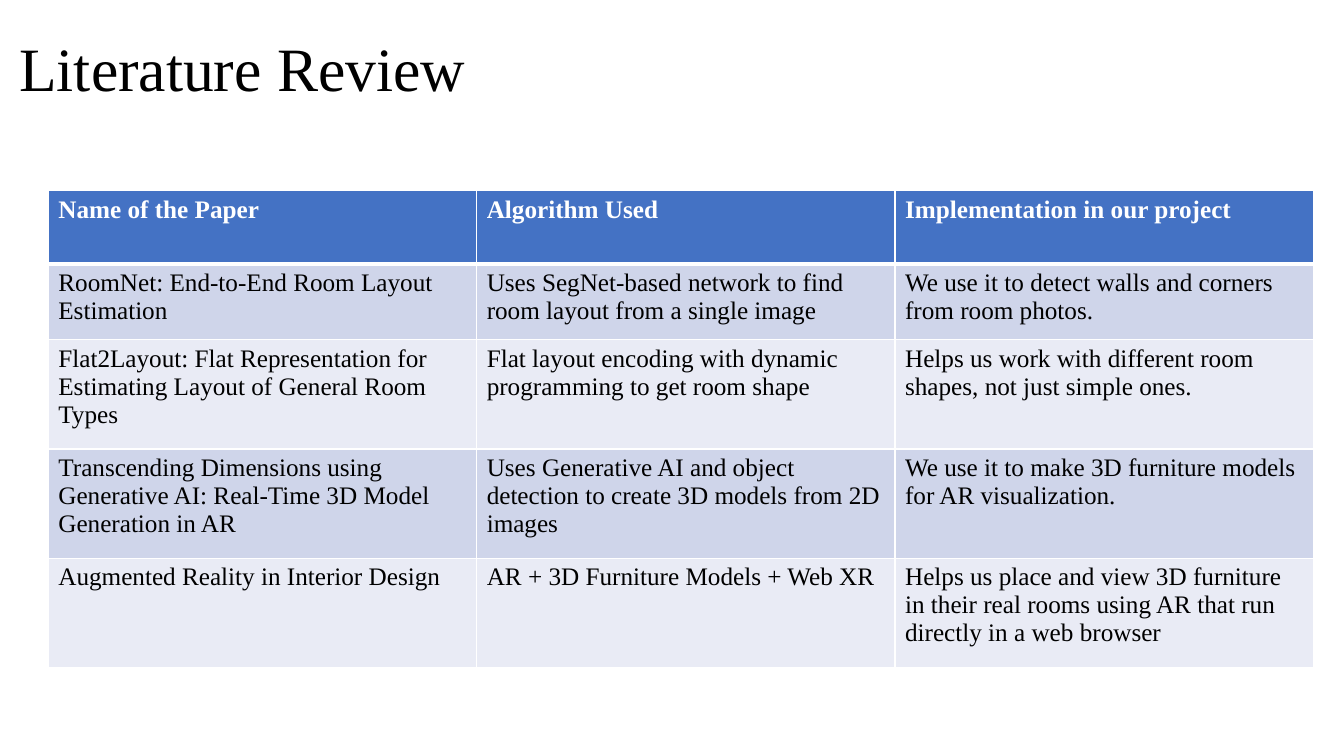
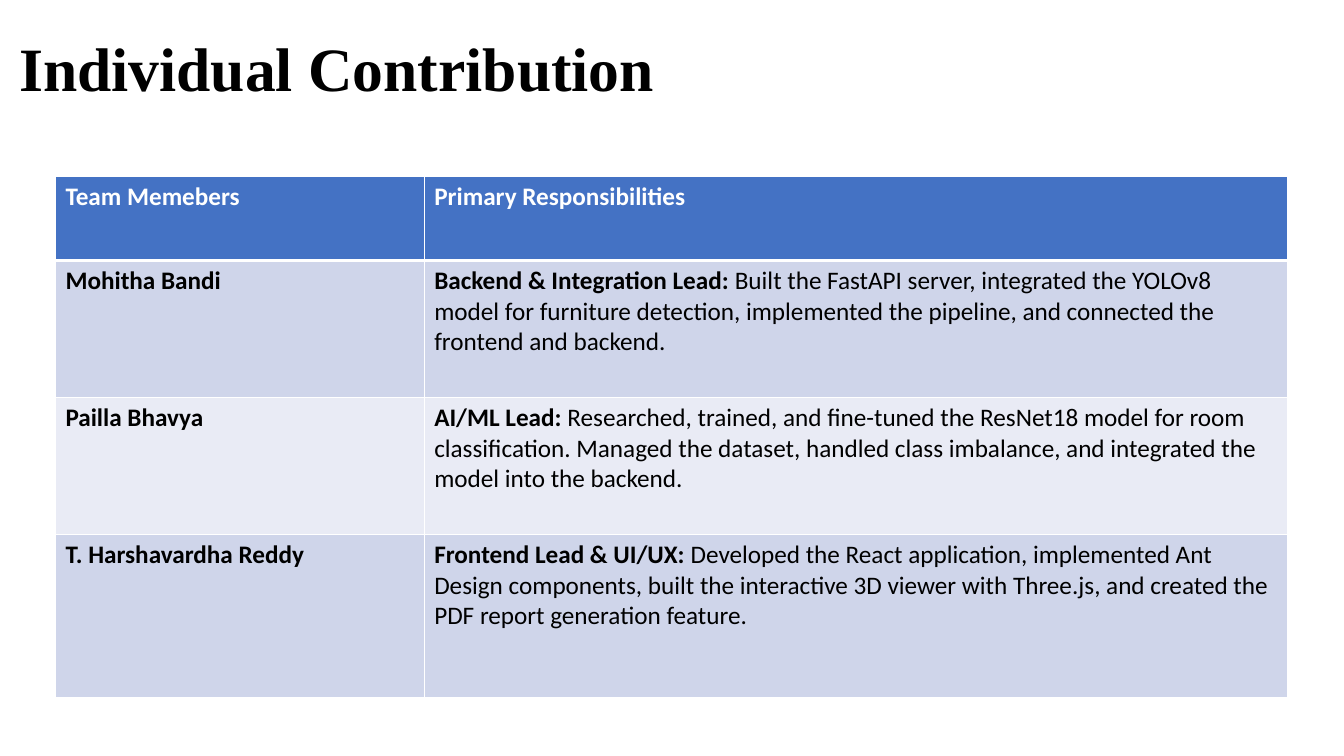
from dataclasses import dataclass

import pptx
import pptx.dml.color
import pptx.enum.text
import pptx.oxml
import pptx.oxml.ns
import pptx.util

# The page is a grid of square units.
COLUMNS, ROWS = 32, 18
UNIT = 7.5 / ROWS

TITLE_FONT = "Times New Roman"
TITLE_LEFT, TITLE_TOP, TITLE_HEIGHT = 0.22, 0.6, 2.02
TITLE_SIZE, TABLE_SIZE = 44, 18
BLACK, WHITE = "000000", "FFFFFF"
HEADER_FILL = "4472C4"
BAND_FILLS = ("E9EBF5", "CFD5EA")
THIN, THICK = 1, 3


@dataclass(frozen=True)
class Span:
    text: str
    bold: bool = False


Cell = tuple[Span, ...]


@dataclass(frozen=True)
class TablePage:
    title: Span
    title_width: float
    font: str
    left: float
    top: float
    widths: tuple[float, ...]
    heights: tuple[float, ...]
    header: tuple[str, ...]
    body: tuple[tuple[Cell, ...], ...]


def plain_row(*texts: str) -> tuple[Cell, ...]:
    return tuple((Span(text),) for text in texts)


def member_row(name: str, role: str, duties: str) -> tuple[Cell, ...]:
    return (Span(name, True),), (Span(role, True), Span(" " + duties))


PAGES = (
    TablePage(
        title=Span("Literature Review"),
        title_width=11.2,
        font="Times New Roman",
        left=1.15,
        top=4.54,
        widths=(10.2, 9.96, 9.96),
        heights=(1.75, 1.8, 2.6, 2.6, 2.6),
        header=("Name of the Paper", "Algorithm Used", "Implementation in our project"),
        body=(
            plain_row(
                "RoomNet: End-to-End Room Layout Estimation",
                "Uses SegNet-based network to find room layout from a single image",
                "We use it to detect walls and corners from room photos.",
            ),
            plain_row(
                "Flat2Layout: Flat Representation for Estimating Layout of General Room Types",
                "Flat layout encoding with dynamic programming to get room shape",
                "Helps us work with different room shapes, not just simple ones.",
            ),
            plain_row(
                "Transcending Dimensions using Generative AI: Real-Time 3D Model Generation in AR",
                "Uses Generative AI and object detection to create 3D models from 2D images",
                "We use it to make 3D furniture models for AR visualization.",
            ),
            plain_row(
                "Augmented Reality in Interior Design",
                "AR + 3D Furniture Models + Web XR",
                "Helps us place and view 3D furniture in their real rooms using AR "
                "that run directly in a web browser",
            ),
        ),
    ),
    TablePage(
        title=Span("Individual Contribution", True),
        title_width=15.77,
        font="Calibri",
        left=1.32,
        top=4.2,
        widths=(8.78, 20.57),
        heights=(2, 3.26, 3.26, 3.9),
        header=("Team Memebers", "Primary Responsibilities"),
        body=(
            member_row(
                "Mohitha Bandi",
                "Backend & Integration Lead:",
                "Built the FastAPI server, integrated the YOLOv8 model for furniture "
                "detection, implemented the pipeline, and connected the frontend and backend.",
            ),
            member_row(
                "Pailla Bhavya",
                "AI/ML Lead:",
                "Researched, trained, and fine-tuned the ResNet18 model for room "
                "classification. Managed the dataset, handled class imbalance, and "
                "integrated the model into the backend.",
            ),
            member_row(
                "T. Harshavardha Reddy",
                "Frontend Lead & UI/UX:",
                "Developed the React application, implemented Ant Design components, "
                "built the interactive 3D viewer with Three.js, and created the PDF "
                "report generation feature.",
            ),
        ),
    ),
)


def units(count: float) -> int:
    return pptx.util.Inches(count * UNIT)


def color(value: str) -> pptx.dml.color.RGBColor:
    return pptx.dml.color.RGBColor.from_string(value)


def add_span(para, span: Span, font: str, size: float, ink: str) -> None:
    run = para.add_run()
    run.text = span.text
    run.font.name = font
    run.font.size = pptx.util.Pt(size)
    run.font.bold = span.bold
    run.font.color.rgb = color(ink)


def set_borders(cell, top: float, bottom: float) -> None:
    """Draw white cell edges; call before the fill, which must follow them in the XML."""
    properties = cell._tc.get_or_add_tcPr()
    for edge, points in (("L", THIN), ("R", THIN), ("T", top), ("B", bottom)):
        properties.append(pptx.oxml.parse_xml(
            f'<a:ln{edge} {pptx.oxml.ns.nsdecls("a")} w="{pptx.util.Pt(points)}">'
            f'<a:solidFill><a:srgbClr val="{WHITE}"/></a:solidFill></a:ln{edge}>'
        ))


def set_title(page, content: TablePage) -> None:
    box = page.shapes.title
    box.left, box.top = units(TITLE_LEFT), units(TITLE_TOP)
    box.width, box.height = units(content.title_width), units(TITLE_HEIGHT)
    frame = box.text_frame
    frame.word_wrap = False
    frame.auto_size = pptx.enum.text.MSO_AUTO_SIZE.SHAPE_TO_FIT_TEXT
    frame.vertical_anchor = pptx.enum.text.MSO_ANCHOR.TOP
    para = frame.paragraphs[0]
    para.alignment = pptx.enum.text.PP_ALIGN.LEFT
    add_span(para, content.title, TITLE_FONT, TITLE_SIZE, BLACK)


def add_table(page, content: TablePage) -> None:
    table = page.shapes.add_table(
        len(content.heights), len(content.widths),
        units(content.left), units(content.top),
        units(sum(content.widths)), units(sum(content.heights)),
    ).table
    for column, width in zip(table.columns, content.widths):
        column.width = units(width)
    for row, height in zip(table.rows, content.heights):
        row.height = units(height)

    header = tuple((Span(text, True),) for text in content.header)
    for row_index, row in enumerate((header, *content.body)):
        is_header = row_index == 0
        fill = HEADER_FILL if is_header else BAND_FILLS[row_index % 2]
        for column_index, spans in enumerate(row):
            cell = table.cell(row_index, column_index)
            set_borders(
                cell,
                top=THICK if row_index == 1 else THIN,
                bottom=THICK if is_header else THIN,
            )
            cell.fill.solid()
            cell.fill.fore_color.rgb = color(fill)
            for span in spans:
                add_span(cell.text_frame.paragraphs[0], span, content.font,
                         TABLE_SIZE, WHITE if is_header else BLACK)


def main() -> None:
    deck = pptx.Presentation()
    deck.slide_width, deck.slide_height = units(COLUMNS), units(ROWS)
    title_only = deck.slide_layouts.get_by_name("Title Only")
    for content in PAGES:
        page = deck.slides.add_slide(title_only)
        set_title(page, content)
        add_table(page, content)
    deck.save("out.pptx")


if __name__ == "__main__":
    main()
